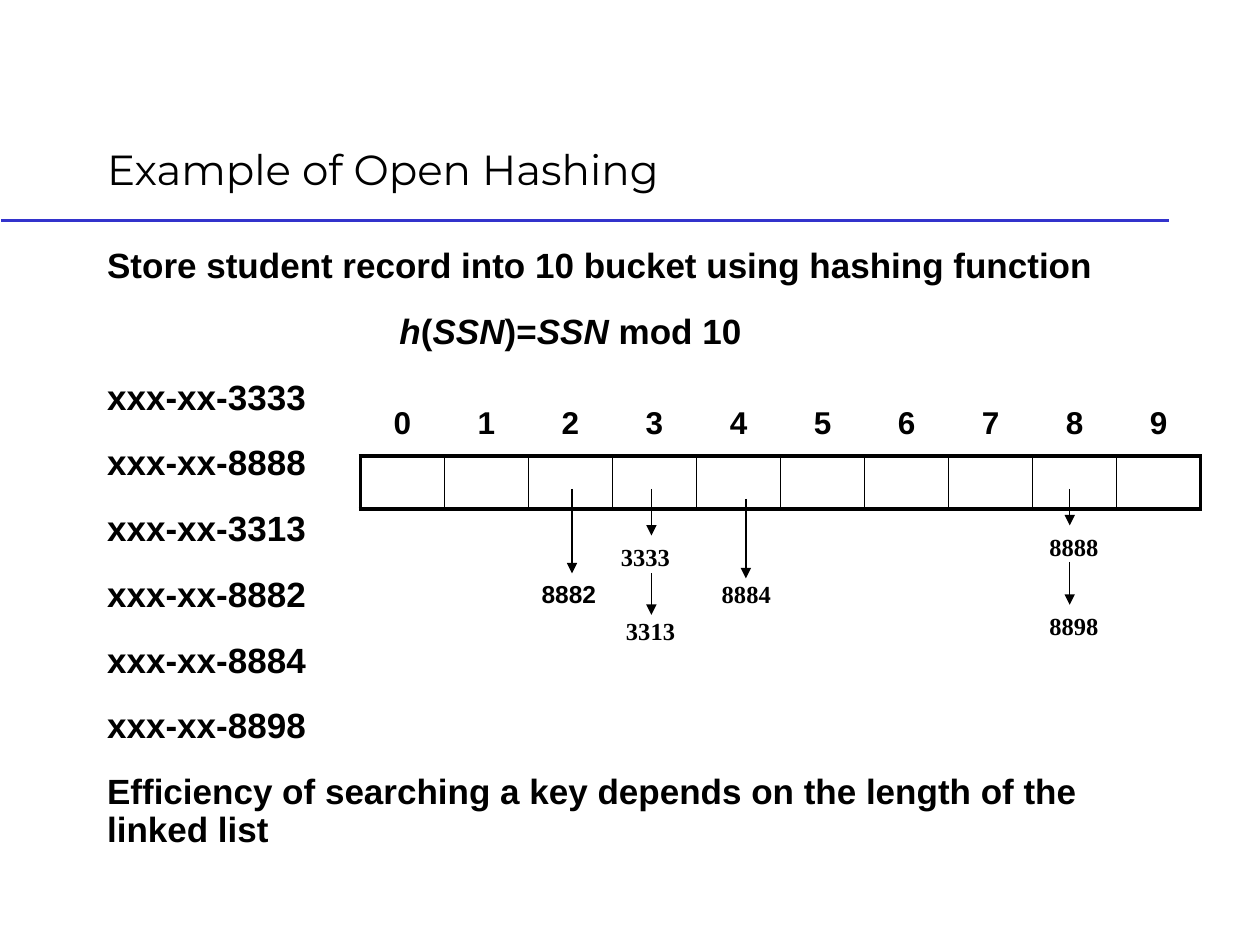
from lxml.etree import SubElement
from pptx import Presentation
from pptx.dml.color import RGBColor
from pptx.enum.shapes import MSO_CONNECTOR as CONN
from pptx.enum.text import MSO_ANCHOR as ANCHOR, MSO_AUTO_SIZE as FIT, PP_ALIGN as ALIGN
from pptx.oxml.ns import qn
from pptx.util import Inches, Pt

BLACK = RGBColor(0, 0, 0)
BLUE = RGBColor(0x33, 0x33, 0xCC)
SANS, SERIF = "Arial", "Times New Roman"

TITLE = "Example of Open Hashing"
INTRO = "Store student record into 10 bucket using hashing function"
FORMULA = [("h", True), ("(", False), ("SSN", True), (")=", False),
           ("SSN", True), (" mod 10", False)]
KEYS = ["3333", "8888", "3313", "8882", "8884", "8898"]
CLOSING = "Efficiency of searching a key depends on the length of the linked list"
BODY = ([[(INTRO, False)], FORMULA]
        + [[(f"xxx-xx-{key}", False)] for key in KEYS]
        + [[(CLOSING, False)]])
BUCKETS = 10
TABLE_X, TABLE_W, ROW_H = 2.86, 6.67, 0.42
LABEL_Y, BUCKET_Y = 3.16, 3.62
NODES = [("3333", 4.83, 4.25, 0.6, SERIF), ("3313", 4.87, 4.84, 0.6, SERIF),
         ("8882", 4.2, 4.55, 0.64, SANS), ("8884", 5.63, 4.55, 0.6, SERIF),
         ("8888", 8.23, 4.17, 0.6, SERIF), ("8898", 8.23, 4.8, 0.6, SERIF)]
ARROWS = [(4.54, 3.88, 4.55), (5.17, 3.88, 4.25), (5.17, 4.55, 4.88),
          (5.92, 3.96, 4.59), (8.49, 3.88, 4.17), (8.49, 4.46, 4.8)]


def box(*lengths):
    return [Inches(v) for v in lengths]


def add_run(p, text, size, name=SANS, bold=True, italic=False):
    r = p.add_run()
    r.text = text
    fmt = {"size": Pt(size), "name": name, "bold": bold, "italic": italic}
    for key, value in fmt.items():
        setattr(r.font, key, value)
    r.font.color.rgb = BLACK


def place(sp, *lengths):
    for key, value in zip(("left", "top", "width", "height"), box(*lengths)):
        setattr(sp, key, value)


def add_line(x1, y1, x2, y2, color, width, arrow=False):
    line = s.shapes.add_connector(CONN.STRAIGHT, *box(x1, y1, x2, y2))
    line.line.color.rgb = color
    line.line.width = Pt(width)
    if arrow:
        SubElement(line.line._get_or_add_ln(), qn("a:tailEnd"), type="triangle")
    SubElement(line._element.spPr, qn("a:effectLst"))


def set_borders(cell, widths):
    tc_pr = cell._tc.get_or_add_tcPr()
    for side, width in zip("LRTB", widths):
        ln = SubElement(tc_pr, qn(f"a:ln{side}"), w=str(Pt(width)))
        if width:
            fill = SubElement(ln, qn("a:solidFill"))
            SubElement(fill, qn("a:srgbClr"), val=str(BLACK))
        else:
            SubElement(ln, qn("a:noFill"))
    cell.fill.background()


def add_row(y):
    table = s.shapes.add_table(1, BUCKETS, *box(TABLE_X, y, TABLE_W, ROW_H)).table
    table.first_row = table.horz_banding = False
    return list(table.iter_cells())


prs = Presentation()
prs.slide_width, prs.slide_height = box(10, 7.5)
s = prs.slides.add_slide(prs.slide_layouts[1])
title, body = s.placeholders

place(title, 0.75, 0.67, 8.5, 0.92)
tf = title.text_frame
tf.auto_size, tf.vertical_anchor = FIT.NONE, ANCHOR.BOTTOM
tf.paragraphs[0].alignment = ALIGN.LEFT
add_run(tf.paragraphs[0], TITLE, 24, "Montserrat", bold=False)

place(body, 0.75, 1.92, 8.5, 5)
tf = body.text_frame
tf.auto_size = FIT.NONE
for i, runs in enumerate(BODY):
    p = tf.add_paragraph() if i else tf.paragraphs[0]
    p.line_spacing = 0.9
    p.space_before = Pt(16 if i else 0)
    p_pr = p._p.get_or_add_pPr()
    p_pr.set("marL", str(Inches(2.32 if runs is FORMULA else 0)))
    p_pr.set("indent", "0")
    SubElement(p_pr, qn("a:buNone"))
    for text, italic in runs:
        add_run(p, text, 20, italic=italic)

for width in (1.5, 0.75):
    add_line(0.01, 1.75, 9.28, 1.75, BLUE, width)

for i, cell in enumerate(add_row(BUCKET_Y)):
    set_borders(cell, (1 if i else 2.25, 1 if i < BUCKETS - 1 else 2.25, 2.25, 2.25))

for i, cell in enumerate(add_row(LABEL_Y)):
    set_borders(cell, (0, 0, 0, 0))
    cell.vertical_anchor = ANCHOR.MIDDLE
    p = cell.text_frame.paragraphs[0]
    p.alignment, p.line_spacing = ALIGN.CENTER, 0.9
    add_run(p, str(i), 18)

for key, x, y, w, name in NODES:
    tf = s.shapes.add_textbox(*box(x, y, w, 0.34)).text_frame
    tf.word_wrap, tf.auto_size = False, FIT.SHAPE_TO_FIT_TEXT
    add_run(tf.paragraphs[0], key, 14, name)

for x, y1, y2 in ARROWS:
    add_line(x, y1, x, y2, BLACK, 0.75, arrow=True)

prs.save("out.pptx")
